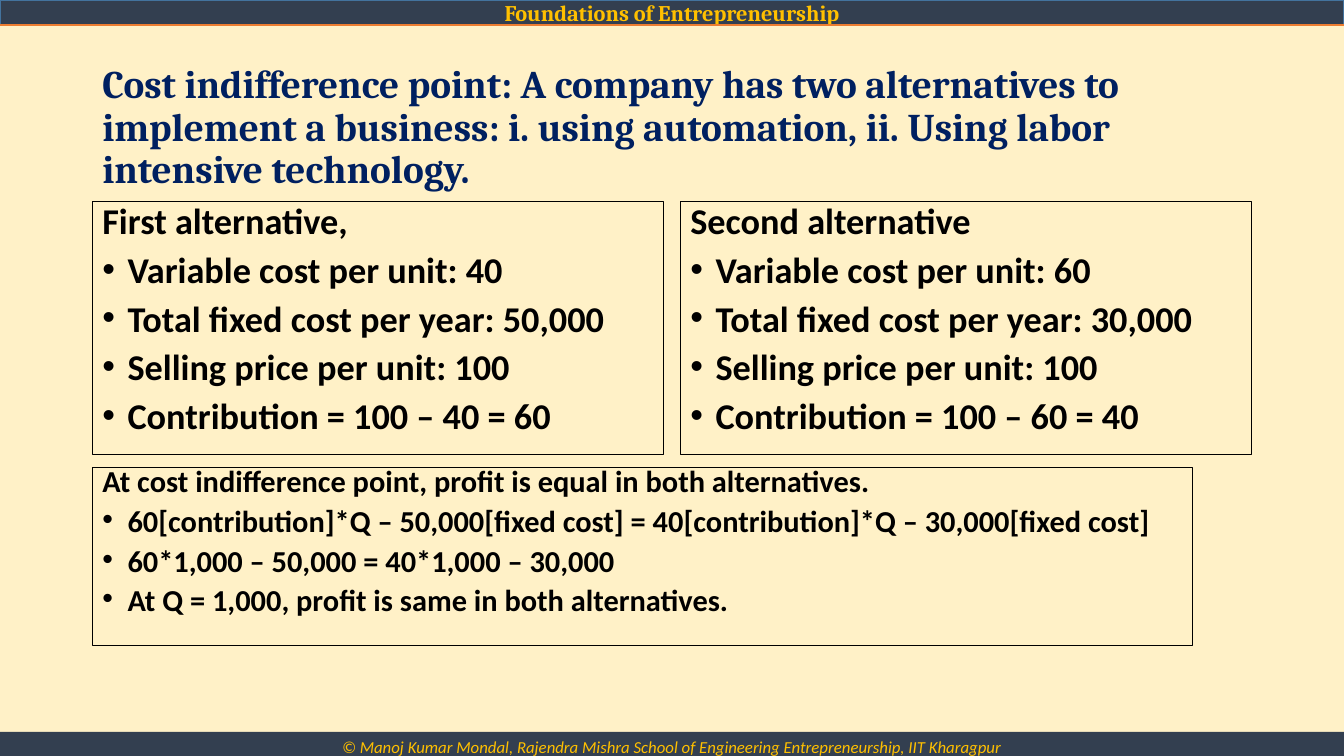
from dataclasses import dataclass

from lxml import etree
from pptx import Presentation
from pptx.dml.color import RGBColor
from pptx.enum import shapes, text
from pptx.oxml import ns
from pptx.util import Pt


@dataclass(frozen=True)
class Theme:
    page: str = "FFF1C7"
    bar: str = "333F50"
    bar_edge: str = "43739E"
    accent: str = "ED7D31"
    gold: str = "FFC000"
    navy: str = "002060"
    ink: str = "000000"
    head_font: str = "Cambria"
    body_font: str = "Calibri"
    header_size: float = 16
    footer_size: float = 12
    title_size: float = 28
    panel_size: float = 25.9
    result_size: float = 21.7


T = Theme()
W, H = 960, 540
LEFT, CONTENT_W, GAP = 66, 828, 12


def rgb(value):
    return RGBColor.from_string(value)


def apply(target, **values):
    for name, value in values.items():
        setattr(target, name, value)


def add_box(s, box, fill=None, line=None, line_width=0.75, anchor=text.MSO_ANCHOR.TOP):
    sp = s.shapes.add_shape(shapes.MSO_SHAPE.RECTANGLE, *map(Pt, box))
    sp.shadow.inherit = False
    if fill:
        sp.fill.solid()
        sp.fill.fore_color.rgb = rgb(fill)
    else:
        sp.fill.background()
    if line:
        sp.line.color.rgb = rgb(line)
        sp.line.width = Pt(line_width)
    else:
        sp.line.fill.background()
    apply(sp.text_frame, word_wrap=True, vertical_anchor=anchor)
    return sp.text_frame


def write(p, words, font, size, color, align=text.PP_ALIGN.LEFT, **style):
    p.alignment = align
    r = p.add_run()
    r.text = words
    apply(r.font, name=font, size=Pt(size), **style)
    r.font.color.rgb = rgb(color)


def add_bullet(p):
    pr = p._p.get_or_add_pPr()
    pr.set("marL", str(Pt(18)))
    pr.set("indent", str(-Pt(18)))
    etree.SubElement(pr, ns.qn("a:buFont")).set("typeface", "Arial")
    etree.SubElement(pr, ns.qn("a:buChar")).set("char", "•")


def header(s, box, words):
    x, y, w, h = box
    tf = add_box(s, box, T.bar, T.bar_edge, 1, text.MSO_ANCHOR.MIDDLE)
    write(tf.paragraphs[0], words, T.head_font, T.header_size, T.gold,
          text.PP_ALIGN.CENTER, bold=True)
    rule = s.shapes.add_connector(
        shapes.MSO_CONNECTOR.STRAIGHT, Pt(x), Pt(y + h), Pt(x + w), Pt(y + h))
    rule.line.color.rgb = rgb(T.accent)
    rule.line.width = Pt(1.5)
    etree.SubElement(rule._element.spPr, ns.qn("a:effectLst"))


def footer(s, box, words):
    tf = add_box(s, box, T.bar)
    write(tf.paragraphs[0], words, T.body_font, T.footer_size, T.gold,
          text.PP_ALIGN.CENTER, italic=True)


def title(s, box, words):
    tf = s.shapes.add_textbox(*map(Pt, box)).text_frame
    apply(tf, word_wrap=True, vertical_anchor=text.MSO_ANCHOR.MIDDLE)
    p = tf.paragraphs[0]
    p.line_spacing = 0.9
    write(p, words, T.head_font, T.title_size, T.navy, bold=True)


def panel(s, box, lines, size, spacing):
    tf = add_box(s, box, line=T.ink)
    for i, words in enumerate(lines):
        p = tf.add_paragraph() if i else tf.paragraphs[0]
        p.line_spacing = spacing
        if i:
            p.space_before = Pt(10)
            add_bullet(p)
        write(p, words, T.body_font, size, T.ink, bold=True)


def alternatives(s, box, options):
    x, y, w, h = box
    panel_w = (w - GAP * (len(options) - 1)) / len(options)
    for i, (heading, variable, fixed, price) in enumerate(options):
        lines = [
            heading,
            f"Variable cost per unit: {variable}",
            f"Total fixed cost per year: {fixed:,}",
            f"Selling price per unit: {price}",
            f"Contribution = {price} – {variable} = {price - variable}",
        ]
        panel(s, (x + i * (panel_w + GAP), y, panel_w, h), lines, T.panel_size, 0.8)


def main():
    prs = Presentation()
    apply(prs, slide_width=Pt(W), slide_height=Pt(H))
    s = prs.slides.add_slide(prs.slide_layouts[6])
    s.background.fill.solid()
    s.background.fill.fore_color.rgb = rgb(T.page)

    header(s, (0, 0, W, 18), "Foundations of Entrepreneurship")
    footer(s, (0, 522.7, W, 21.6),
           "© Manoj Kumar Mondal, Rajendra Mishra School of Engineering "
           "Entrepreneurship, IIT Kharagpur")
    title(s, (LEFT, 39.6, CONTENT_W, 104.4),
          "Cost indifference point: A company has two alternatives to implement "
          "a business: i. using automation, ii. Using labor intensive technology.")
    alternatives(s, (LEFT, 144, CONTENT_W, 180.7), [
        ("First alternative,", 40, 50000, 100),
        ("Second alternative", 60, 30000, 100),
    ])
    panel(s, (LEFT, 334, 785.5, 127.4), [
        "At cost indifference point, profit is equal in both alternatives.",
        "60[contribution]*Q – 50,000[fixed cost] = 40[contribution]*Q – 30,000[fixed cost]",
        "60*1,000 – 50,000 = 40*1,000 – 30,000",
        "At Q = 1,000, profit is same in both alternatives.",
    ], T.result_size, 0.7)
    prs.save("out.pptx")


if __name__ == "__main__":
    main()
